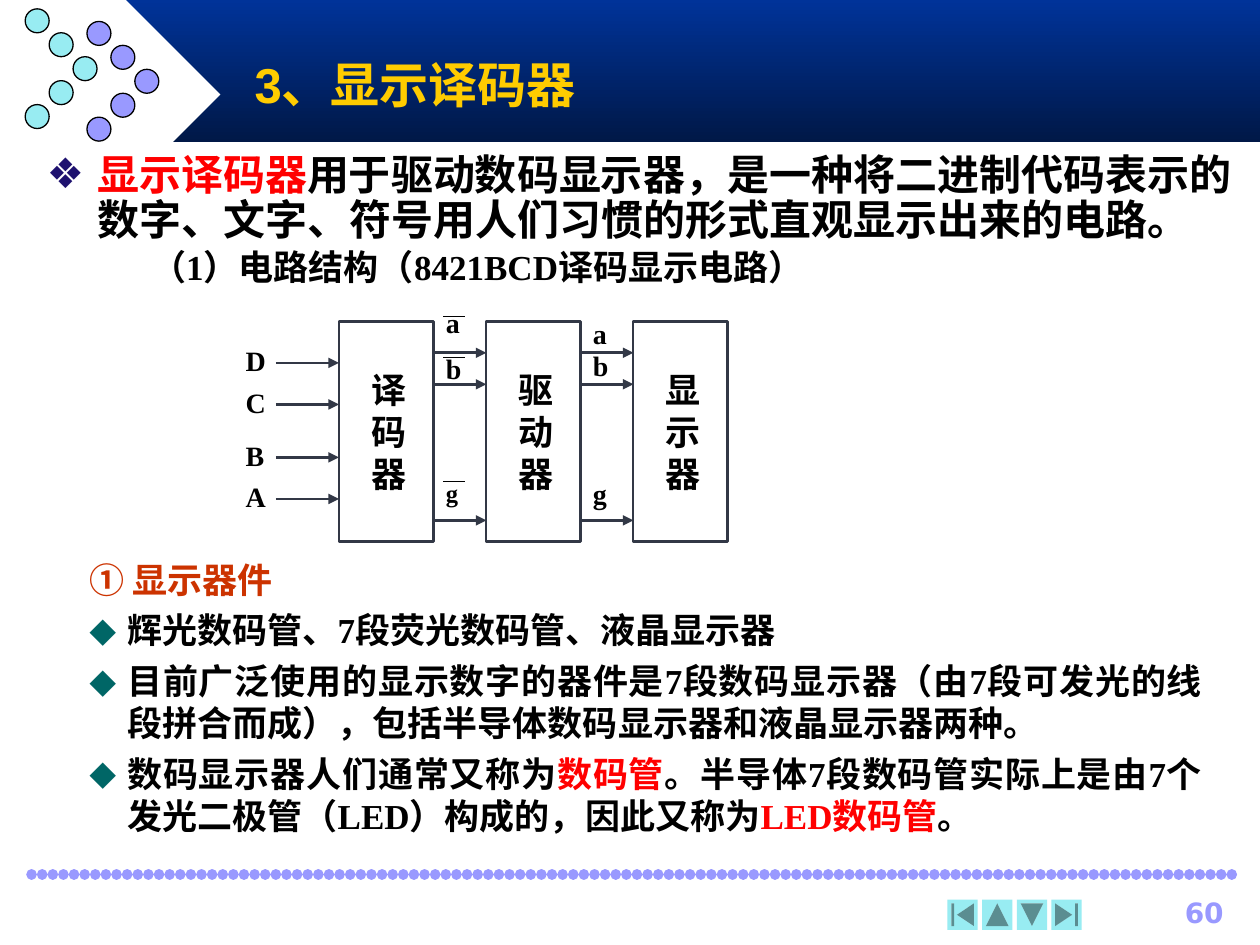
from dataclasses import dataclass

from pptx import Presentation
from pptx.dml.color import RGBColor
from pptx.enum.shapes import MSO_CONNECTOR, MSO_SHAPE
from pptx.enum.text import MSO_ANCHOR, MSO_AUTO_SIZE, PP_ALIGN
from pptx.oxml.ns import qn
from pptx.util import Inches, Pt
from lxml import etree

LINE = MSO_CONNECTOR.STRAIGHT
RECT, DIAMOND, OVAL = MSO_SHAPE.RECTANGLE, MSO_SHAPE.DIAMOND, MSO_SHAPE.OVAL
FIRST, LAST = MSO_SHAPE.ACTION_BUTTON_BEGINNING, MSO_SHAPE.ACTION_BUTTON_END
BACK, NEXT = MSO_SHAPE.ACTION_BUTTON_BACK_OR_PREVIOUS, MSO_SHAPE.ACTION_BUTTON_FORWARD_OR_NEXT
LEFT, RIGHT, JUST = PP_ALIGN.LEFT, PP_ALIGN.RIGHT, PP_ALIGN.JUSTIFY
TOP, MIDDLE = MSO_ANCHOR.TOP, MSO_ANCHOR.MIDDLE


@dataclass(frozen=True)
class Theme:
    serif: str = "Times New Roman"
    sans: str = "Arial"
    cjk: str = "Noto Sans CJK SC"
    digit: str = "DejaVu Sans"
    black: str = "000000"
    white: str = "FFFFFF"
    red: str = "FF0000"
    rust: str = "CC3300"
    gold: str = "FFCC00"
    navy: str = "003399"
    night: str = "001847"
    violet: str = "9999FF"
    aqua: str = "98ECF2"
    slate: str = "323846"
    teal: str = "006666"
    indigo: str = "1E116F"
    title: int = 28
    lead: int = 24
    text: int = 20
    label: int = 16
    small: int = 14


T = Theme()


def rgb(code):
    return RGBColor.from_string(code)


def style(run, size, color=T.black, font=T.serif):
    run.font.size, run.font.bold, run.font.name = Pt(size), True, font
    run.font.color.rgb = rgb(color)
    east = etree.SubElement(run._r.get_or_add_rPr(), qn("a:ea"))
    east.set("typeface", T.cjk)


def place(shape, box):
    shape.left, shape.top, shape.width, shape.height = map(Inches, box)


def add_form(shapes, kind, box, fill=None, line=None, width=0.75):
    form = shapes.add_shape(kind, *map(Inches, box))
    form.shadow.inherit = False
    if fill:
        form.fill.solid()
        form.fill.fore_color.rgb = rgb(fill)
    else:
        form.fill.background()
    if line:
        form.line.color.rgb, form.line.width = rgb(line), Pt(width)
    else:
        form.line.fill.background()
    return form


def add_line(shapes, x, y, end, color, width, head=False):
    """Add a level line from x to end, and return its a:ln element."""
    line = shapes.add_connector(LINE, *map(Inches, (x, y, end, y)))
    line.line.color.rgb, line.line.width = rgb(color), Pt(width)
    ln = line.line._get_or_add_ln()
    if head:
        etree.SubElement(ln, qn("a:tailEnd")).set("type", "triangle")
    etree.SubElement(line._element.spPr, qn("a:effectLst"))
    return ln


def add_label(shapes, box, text, size, align=JUST, color=T.black, font=T.serif, space=None):
    label = shapes.add_textbox(*map(Inches, box))
    frame = label.text_frame
    frame.word_wrap, frame.text = True, text
    para = frame.paragraphs[0]
    para.alignment, para.line_spacing = align, space
    style(para.runs[0], size, color, font)


def set_bullet(para, indent=0, mark=None, color=None, scale=100):
    props = para._p.get_or_add_pPr()
    props.set("marL", str(Inches(indent)))
    props.set("indent", str(-Inches(indent)))
    if not mark:
        etree.SubElement(props, qn("a:buNone"))
        return
    tint = etree.SubElement(props, qn("a:buClr"))
    etree.SubElement(tint, qn("a:srgbClr")).set("val", color)
    etree.SubElement(props, qn("a:buSzPct")).set("val", str(scale * 1000))
    etree.SubElement(props, qn("a:buChar")).set("char", mark)


def add_runs(para, parts, size):
    for text, color, font in parts:
        run = para.add_run()
        run.text = text
        style(run, size, color, font)


def set_frame(holder, box, anchor=TOP):
    place(holder, box)
    frame = holder.text_frame
    frame.word_wrap, frame.auto_size = True, MSO_AUTO_SIZE.NONE
    frame.vertical_anchor = anchor
    return frame


def draw_header(shapes, x, y, w, h):
    band = add_form(shapes, RECT, (x + 1, y, w - 1, h), T.navy)
    band.fill.gradient()
    band.fill.gradient_angle = 270
    for stop, color, spot in zip(band.fill.gradient_stops, (T.navy, T.night), (0, 1)):
        stop.color.rgb, stop.position = rgb(color), spot
    add_form(shapes, DIAMOND, (x + 0.25, y, 1.5, 1.5), T.white)
    step = 0.19
    for dx, dy, color in ((0.69, 0.17, T.violet), (0.2, 0.07, T.aqua)):
        for row in range(5):
            col = 2 - abs(row - 2)
            dot = (x + dx + col * step, y + dy + row * step, step, step)
            add_form(shapes, OVAL, dot, color, T.black)


def draw_footer(shapes, x, y, w):
    ln = add_line(shapes, x, y, x + w, T.violet, 6)
    ln.set("cap", "rnd")
    dash = etree.SubElement(etree.SubElement(ln, qn("a:custDash")), qn("a:ds"))
    dash.set("d", "1000")
    dash.set("sp", "100000")
    for col, (kind, turn) in enumerate(((FIRST, 0), (BACK, 90), (NEXT, 90), (LAST, 0))):
        box = (x + 7.27 + col * 0.275, y + 0.2, 0.24, 0.24)
        add_form(shapes, kind, box, T.aqua).rotation = turn
    add_label(shapes, (x + 8.61, y + 0.12, 0.95, 0.33), "60", T.label, RIGHT, T.violet, T.digit)


def draw_title(holder, box):
    frame = set_frame(holder, box, MIDDLE)
    frame.text = "3、显示译码器"
    para = frame.paragraphs[0]
    para.alignment = LEFT
    style(para.runs[0], T.title, T.gold, T.sans)


def draw_lead(holder, box):
    para = set_frame(holder, box).paragraphs[0]
    set_bullet(para, 0.4, "❖", T.indigo)
    para.line_spacing, para.space_before = 0.9, Pt(0)
    rest = "用于驱动数码显示器，是一种将二进制代码表示的数字、文字、符号用人们习惯的形式直观显示出来的电路。"
    add_runs(para, [("显示译码器", T.red, T.serif), (rest, T.black, T.serif)], T.lead)


def draw_circuit(shapes, x, y):
    """Draw decoder, driver and display blocks with the signals between them."""
    wide, high, pitch, first = 0.75, 1.75, 1.167, 0.84
    for col, name in enumerate(("译码器", "驱动器", "显示器")):
        box = (x + first + col * pitch, y, wide, high)
        block = add_form(shapes, RECT, box, line=T.slate, width=1.5)
        frame = block.text_frame
        frame.word_wrap, frame.text = True, name
        frame.vertical_anchor = MIDDLE
        frame.margin_left, frame.margin_right = Inches(0.26), Inches(0.19)
        frame.paragraphs[0].alignment = JUST
        style(frame.paragraphs[0].runs[0], T.text)
    for name, dy in zip("DCBA", (0.33, 0.66, 1.08, 1.41)):
        add_line(shapes, x + 0.34, y + dy, x + first, T.slate, 1.5, True)
        add_label(shapes, (x, y + dy - 0.2, 0.42, 0.37), name, T.label)
    wires = (("a", 0.25, -0.09, -0.04, 0, T.label),
             ("b", 0.5, 0.28, 0.29, 0.25, T.label),
             ("g", 1.58, 1.27, 1.27, 1.27, T.small))
    for name, dy, low, bar, plain, size in wires:
        for col, (top, points) in enumerate(((low, size), (plain, T.label))):
            left = x + first + wide + col * pitch
            add_line(shapes, left, y + dy, left + 0.42, T.slate, 1.5, True)
            add_label(shapes, (left, y + top, 0.42, 0.27), name, points, space=0.64)
        left = x + first + wide + 0.08
        add_line(shapes, left, y + bar, left + 0.17, T.black, 0.75)


def draw_list(holder, box):
    frame = set_frame(holder, box)
    black, red = T.black, T.red
    items = (
        (("① ", T.rust, T.cjk), ("显示器件", T.rust, T.serif)),
        (("辉光数码管、7段荧光数码管、液晶显示器", black, T.serif),),
        (("目前广泛使用的显示数字的器件是7段数码显示器（由7段可发光的线段拼合而成），"
          "包括半导体数码显示器和液晶显示器两种。", black, T.serif),),
        (("数码显示器人们通常又称为", black, T.serif), ("数码管", red, T.serif),
         ("。半导体7段数码管实际上是由7个发光二极管（LED）构成的，因此又称为", black, T.serif),
         ("LED数码管", red, T.serif), ("。", black, T.serif)),
    )
    for row, parts in enumerate(items):
        para = frame.add_paragraph() if row else frame.paragraphs[0]
        set_bullet(para, 0.3, "⬥" if row else None, T.teal, 110)
        para.alignment, para.space_before = JUST, Pt(5 if row else 0)
        add_runs(para, parts, T.text)


def main():
    deck = Presentation()
    deck.slide_width, deck.slide_height = Inches(10), Inches(7.5)
    slide = deck.slides.add_slide(deck.slide_layouts[3])
    shapes = slide.shapes
    title, lead, body = [slide.placeholders[i] for i in range(3)]
    draw_header(shapes.add_group_shape().shapes, 0, 0, 10, 1.13)
    draw_footer(shapes, 0.25, 6.94, 9.58)
    for holder in (title, lead, body):
        shapes._spTree.append(holder._element)
    draw_title(title, (1.92, 0.33, 7.5, 0.67))
    draw_lead(lead, (0.27, 1.17, 9.73, 0.8))
    add_label(shapes, (1.1, 1.9, 7.75, 0.44), "（1）电路结构（8421BCD译码显示电路）", T.text)
    draw_circuit(shapes.add_group_shape().shapes, 1.85, 2.55)
    draw_list(body, (0.61, 4.38, 9.03, 2.31))
    deck.save("out.pptx")


if __name__ == "__main__":
    main()
